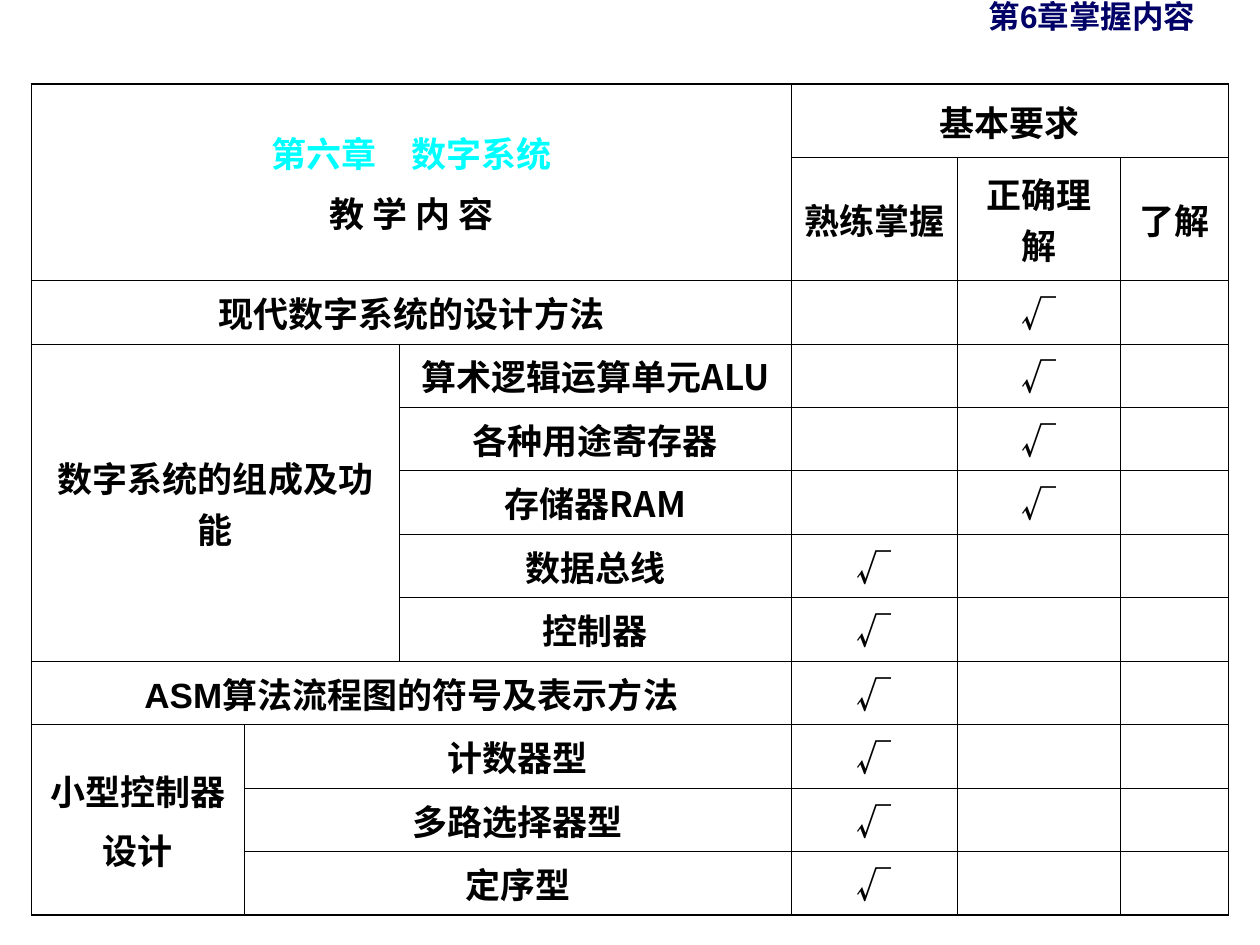
from lxml import etree
from pptx import Presentation
from pptx import util as u
from pptx.dml import color
from pptx.enum import text
from pptx.oxml import ns

NOTO = "Noto Sans CJK SC"
BLACK = "000000"
THIN, THICK = 0.45, 1.08
COLUMN_WIDTHS = [121.7, 88.6, 223.9, 95, 92.9, 61.9]
ROW_HEIGHTS = [41.8, 53.3] + [31] * 10
MERGES = [
    (0, 0, 1, 2), (0, 3, 0, 5), (2, 0, 2, 2), (3, 0, 7, 1), (8, 0, 8, 2),
    (9, 0, 11, 0), (9, 1, 9, 2), (10, 1, 10, 2), (11, 1, 11, 2),
]
HEADERS = [
    (0, 3, "基本要求"), (1, 3, "熟练掌握"), (1, 4, "正确理解"), (1, 5, "了解"),
]
GROUPS = [(3, 0, "数字系统的组成及功能", "Arial"), (9, 0, "小型控制器\n设计", NOTO)]
MASTER, UNDERSTAND = 3, 4
TOPICS = [
    (0, "现代数字系统的设计方法", UNDERSTAND),
    (2, "算术逻辑运算单元ALU", UNDERSTAND),
    (2, "各种用途寄存器", UNDERSTAND),
    (2, "存储器RAM", UNDERSTAND),
    (2, "数据总线", MASTER),
    (2, "控制器", MASTER),
    (0, "ASM算法流程图的符号及表示方法", MASTER),
    (1, "计数器型", MASTER),
    (1, "多路选择器型", MASTER),
    (1, "定序型", MASTER),
]


def rgb(value):
    """Turn a hex string into a colour."""
    return color.RGBColor.from_string(value)


def write(frame, content, size=20, font=NOTO, colors=(BLACK,), gap=5):
    """Write centred bold lines, one paragraph each, into a text frame."""
    frame.word_wrap = True
    for index, line in enumerate(content.split("\n")):
        para = frame.add_paragraph() if index else frame.paragraphs[0]
        para.alignment = text.PP_ALIGN.CENTER
        if index:
            para.space_before = u.Pt(gap)
        span = para.add_run()
        span.text = line
        span.font.size = u.Pt(size)
        span.font.bold = True
        span.font.color.rgb = rgb(colors[min(index, len(colors) - 1)])
        span.font.name = font
        east_asian = etree.SubElement(span.font._element, ns.qn("a:ea"))
        east_asian.set("typeface", NOTO)


def add_title(page, content):
    """Add the small heading in the top right corner."""
    box = page.shapes.add_textbox(u.Pt(527.8), 0, u.Pt(192.2), u.Pt(18))
    box.text_frame.vertical_anchor = text.MSO_ANCHOR.MIDDLE
    write(box.text_frame, content, size=18, font="Arial", colors=("000066",))


def draw_borders(cell, widths):
    """Draw the left, right, top and bottom borders of a cell."""
    properties = cell._tc.get_or_add_tcPr()
    for side, width in zip("LRTB", widths):
        line = etree.SubElement(properties, ns.qn(f"a:ln{side}"), w=str(u.Pt(width)))
        fill = etree.SubElement(line, ns.qn("a:solidFill"))
        etree.SubElement(fill, ns.qn("a:srgbClr"), val=BLACK)


def format_cell(table, row, column):
    """Give a cell its anchor, borders (thick on the outside) and no fill."""
    cell = table.cell(row, column)
    right, bottom = column + cell.span_width, row + cell.span_height
    outer = (
        column == 0, right == len(COLUMN_WIDTHS),
        row == 0, bottom == len(ROW_HEIGHTS),
    )
    draw_borders(cell, [THICK if edge else THIN for edge in outer])
    cell.fill.background()
    cell.vertical_anchor = text.MSO_ANCHOR.MIDDLE


def add_grid(page):
    """Add the empty table with its merged cells and borders."""
    frame = page.shapes.add_table(
        len(ROW_HEIGHTS), len(COLUMN_WIDTHS), u.Pt(18), u.Pt(48.2),
        u.Pt(sum(COLUMN_WIDTHS)), u.Pt(sum(ROW_HEIGHTS)))
    table = frame.table
    table.first_row = table.horz_banding = False
    for column, width in zip(table.columns, COLUMN_WIDTHS):
        column.width = u.Pt(width)
    for row, height in zip(table.rows, ROW_HEIGHTS):
        row.height = u.Pt(height)
    for top, left, bottom, right in MERGES:
        table.cell(top, left).merge(table.cell(bottom, right))
    for row in range(len(ROW_HEIGHTS)):
        for column in range(len(COLUMN_WIDTHS)):
            format_cell(table, row, column)
    return table


def fill_grid(table):
    """Write the headers, groups, topics and check marks."""
    write(table.cell(0, 0).text_frame, "第六章　数字系统\n教 学 内 容",
          colors=("00FFFF", BLACK))
    for row, column, label in HEADERS:
        write(table.cell(row, column).text_frame, label)
    for row, column, label, font in GROUPS:
        write(table.cell(row, column).text_frame, label, font=font)
    for row, (column, topic, level) in enumerate(TOPICS, start=2):
        font = "Arial" if topic.startswith("ASM") else NOTO
        write(table.cell(row, column).text_frame, topic, font=font)
        write(table.cell(row, level).text_frame, "√")


def main():
    """Build the slide and save the deck."""
    deck = Presentation()
    deck.slide_width, deck.slide_height = u.Pt(720), u.Pt(540)
    page = deck.slides.add_slide(deck.slide_layouts[6])
    fill_grid(add_grid(page))
    add_title(page, "第6章掌握内容")
    deck.save("out.pptx")


if __name__ == "__main__":
    main()
